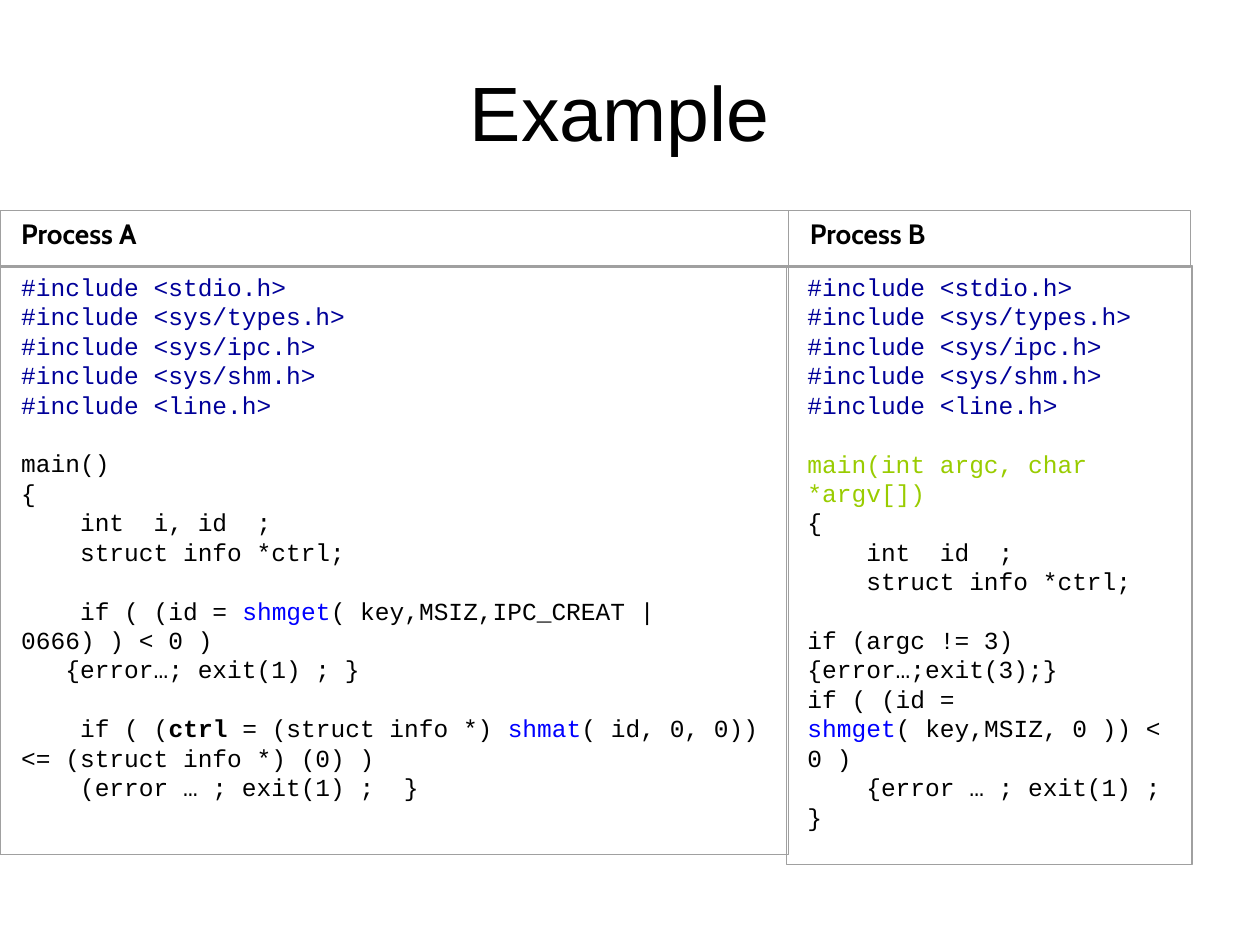
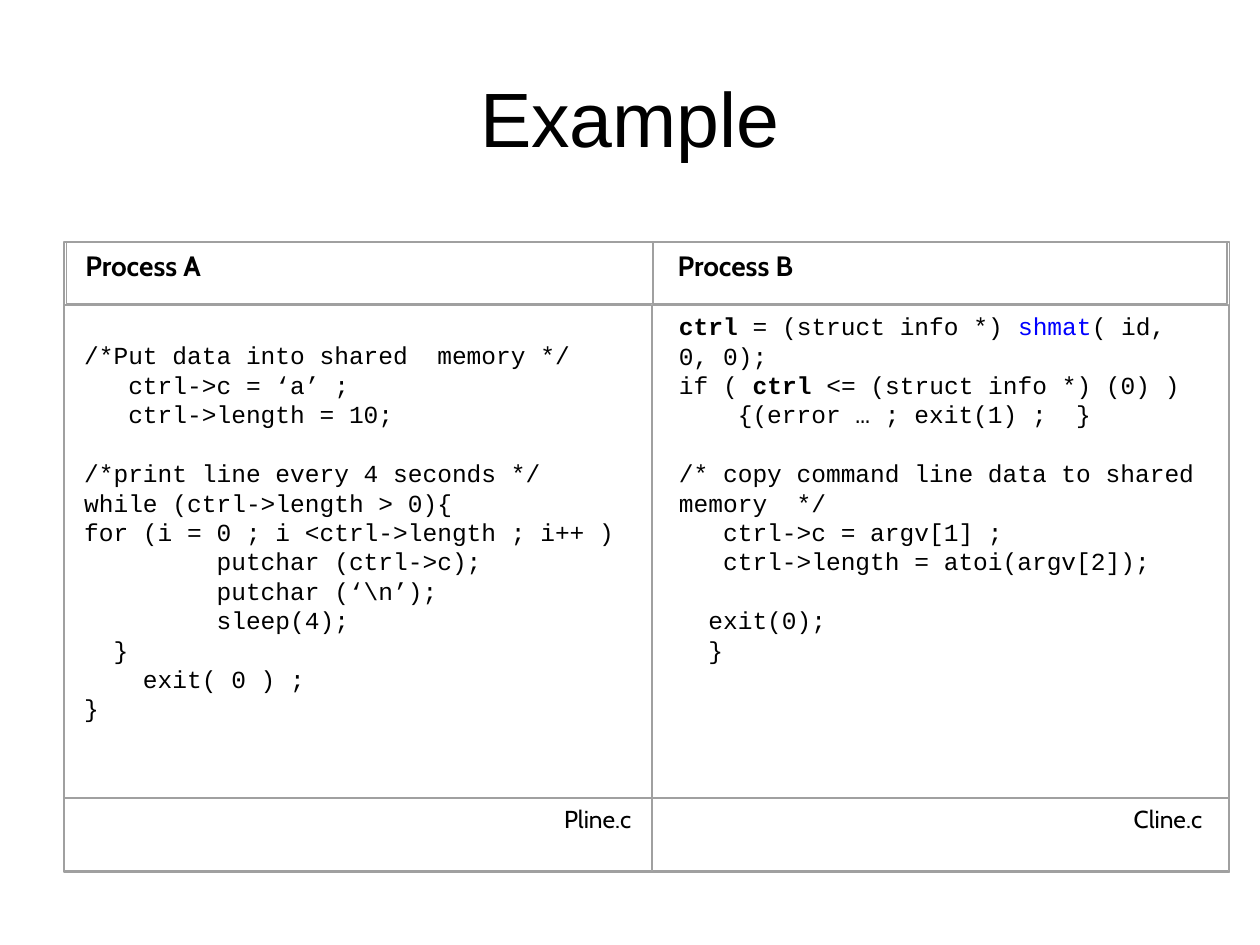
from pptx import Presentation
from pptx.dml.color import RGBColor as RGB
from pptx.enum.shapes import MSO_SHAPE as SHAPE
from pptx.enum.text import MSO_ANCHOR as ANCHOR, PP_ALIGN as ALIGN
from pptx.util import Inches, Pt

BLACK = RGB(0x00, 0x00, 0x00)
GREY = RGB(0xA0, 0xA0, 0xA0)
NAVY = RGB(0x00, 0x00, 0x99)
BLUE = RGB(0x00, 0x00, 0xFF)
LIME = RGB(0x99, 0xCC, 0x00)

HEAD, BODY, CODE = "Arial", "Cabin", "Courier New"
LEAD = 16.8  # points from one code line to the next

# A code line is a string or a list of runs; a run is a string or
# (text, colour, bold). An empty string is a gap of one line.
CTRL = ("ctrl", BLACK, True)
GET = ("shmget", BLUE, False)
MAT = ("shmat", BLUE, False)
HEADERS = ["stdio.h", "sys/types.h", "sys/ipc.h", "sys/shm.h", "line.h"]
INCLUDES = [[(f"#include <{name}>", NAVY, False)] for name in HEADERS]

OPEN_A = INCLUDES + [
    "",
    "main()",
    "{",
    "    int  i, id  ;",
    "    struct info *ctrl;",
    "",
    ["    if ( (id = ", GET, "( key,MSIZ,IPC_CREAT | 0666) ) < 0 )"],
    "   {error…; exit(1) ; }",
    "",
    ["    if ( (", CTRL, " = (struct info *) ", MAT,
     "( id, 0, 0)) <= (struct info *) (0) )"],
    "    (error … ; exit(1) ;  }",
]
OPEN_B = INCLUDES + [
    "",
    [("main(int argc, char *argv[])", LIME, False)],
    "{",
    "    int  id  ;",
    "    struct info *ctrl;",
    "",
    "if (argc != 3) {error…;exit(3);}",
    ["if ( (id = ", GET, "( key,MSIZ, 0 )) < 0 )"],
    "    {error … ; exit(1) ; }",
]
LOOP_A = [
    "",
    "/*Put data into shared  memory */",
    "   ctrl->c = ‘a’ ;",
    "   ctrl->length = 10;",
    "",
    "/*print line every 4 seconds */",
    "while (ctrl->length > 0){",
    "for (i = 0 ; i <ctrl->length ; i++ )",
    "         putchar (ctrl->c);",
    "         putchar (‘\\n’);",
    "         sleep(4);",
    "  }",
    "    exit( 0 ) ;",
    "}",
]
COPY_B = [
    [CTRL, " = (struct info *) ", MAT, "( id, 0, 0);"],
    ["if ( ", CTRL, " <= (struct info *) (0) )"],
    "    {(error … ; exit(1) ;  }",
    "",
    "/* copy command line data to shared memory  */",
    "   ctrl->c = argv[1] ;",
    "   ctrl->length = atoi(argv[2]);",
    "",
    "  exit(0);",
    "  }",
]


def add_run(para, text, font, size, color=BLACK, bold=False):
    run = para.add_run()
    run.text = text
    run.font.name, run.font.size = font, Pt(size)
    run.font.color.rgb, run.font.bold = color, bold


def add_text(slide, x, y, w, h):
    box = slide.shapes.add_textbox(Inches(x), Inches(y), Inches(w), Inches(h))
    box.text_frame.word_wrap = True
    return box.text_frame


def add_title(slide, x, y):
    frame = add_text(slide, x, y, 9, 1.25)
    frame.vertical_anchor = ANCHOR.MIDDLE
    para = frame.paragraphs[0]
    para.alignment = ALIGN.CENTER
    add_run(para, "Example", HEAD, 44)


def add_frame(slide, x, y, w, h, line=0):
    rect = slide.shapes.add_shape(SHAPE.RECTANGLE, Inches(x), Inches(y),
                                  Inches(w), Inches(h))
    rect.shadow.inherit = False
    rect.fill.background()
    rect.line.color.rgb = GREY
    rect.line.width = Pt(line)


def add_label(slide, box, pad, text, size=16, bold=True, align=ALIGN.LEFT):
    """Framed cell with one line, set in by pad at both sides."""
    x, y, w, h = box
    para = add_text(slide, x + pad, y, w - 2 * pad, h).paragraphs[0]
    para.alignment = align
    add_run(para, text, BODY, size, bold=bold)
    add_frame(slide, *box)


def add_code(slide, box, pad, lines):
    """Framed cell with code; gaps become space before the next line."""
    x, y, w, h = box
    drop = 0 if lines[0] else LEAD / 72
    frame = add_text(slide, x + pad, y + drop, w - 2 * pad, h - drop)
    para, gap = None, 0
    for line in lines:
        if not line:
            gap = LEAD
            continue
        first = para is None
        para = frame.paragraphs[0] if first else frame.add_paragraph()
        para.line_spacing = Pt(LEAD)
        para.space_before = Pt(0 if first else gap)
        gap = 0
        for part in [line] if isinstance(line, str) else line:
            style = (part,) if isinstance(part, str) else part
            add_run(para, style[0], CODE, 14, *style[1:])
    add_frame(slide, *box)


def build_open(slide):
    add_title(slide, 0.42, 0.25)
    pad = 0.07
    add_label(slide, (0, 1.67, 6.26, 0.45), pad, "Process A")
    add_label(slide, (6.26, 1.67, 3.19, 0.45), pad, "Process B")
    add_code(slide, (0, 2.11, 6.26, 4.67), pad, OPEN_A)
    add_code(slide, (6.24, 2.11, 3.22, 4.75), pad, OPEN_B)


def build_rest(slide):
    add_title(slide, 0.5, 0.3)
    add_label(slide, (0.53, 1.92, 4.66, 0.49), 0.05, "Process A")
    add_label(slide, (5.18, 1.92, 4.56, 0.49), 0.1, "Process B")
    columns = [(0.51, 4.66, 0.06, LOOP_A, "Pline.c"),
               (5.18, 4.57, 0.11, COPY_B, "Cline.c")]
    for x, w, pad, lines, name in columns:
        add_code(slide, (x, 2.42, w, 3.92), pad, lines)
        add_label(slide, (x, 6.33, w, 0.58), pad, name, 14, False, ALIGN.RIGHT)
    add_frame(slide, 0.51, 1.92, 9.25, 5, 0.87)


def main():
    deck = Presentation()
    deck.slide_width, deck.slide_height = Inches(10), Inches(7.5)
    for build in (build_open, build_rest):
        build(deck.slides.add_slide(deck.slide_layouts[6]))
    deck.save("out.pptx")


if __name__ == "__main__":
    main()
